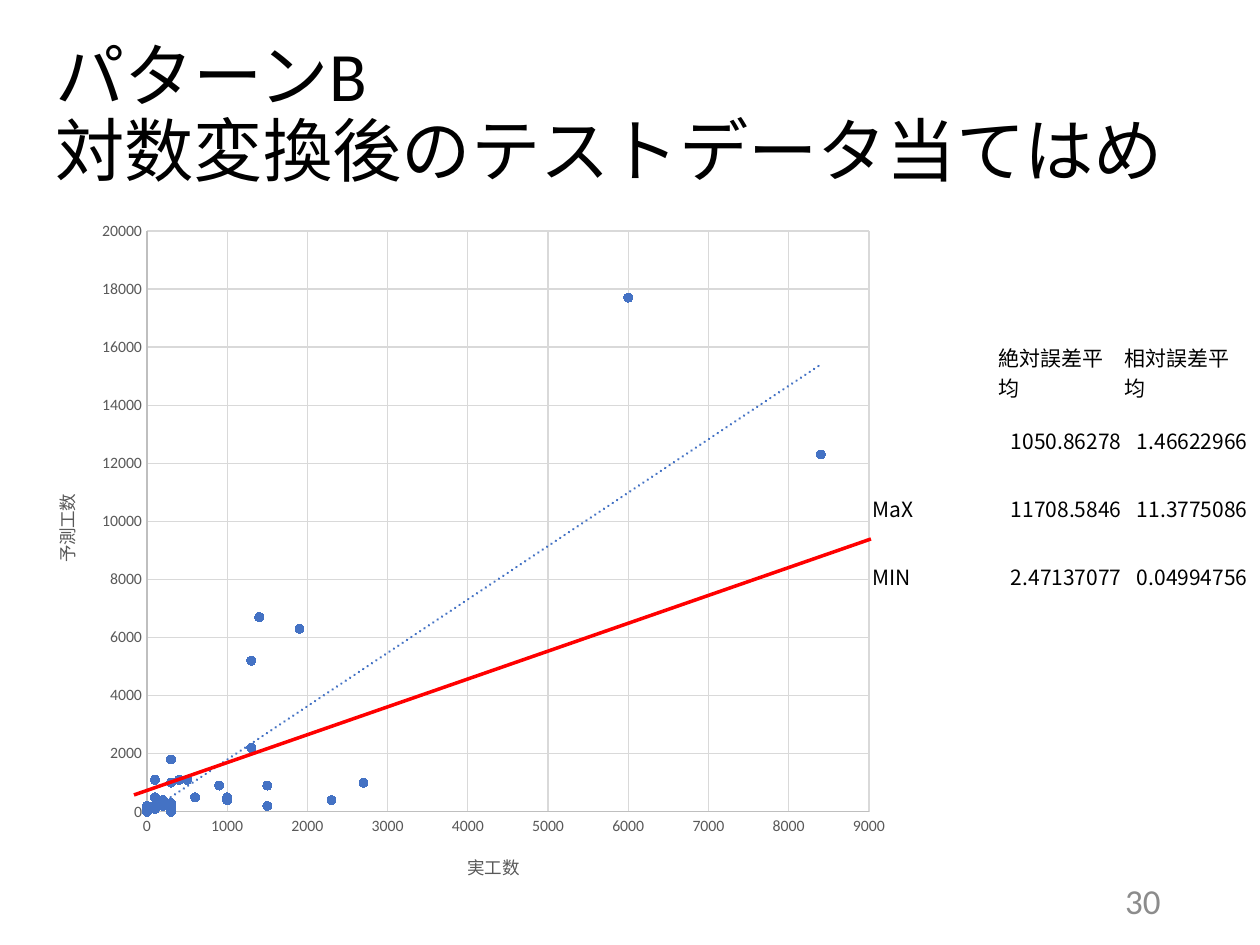
import pptx
import pptx.chart.data
import pptx.dml.color
import pptx.enum.chart
import pptx.enum.shapes
import pptx.enum.text
import pptx.oxml
import pptx.oxml.ns
import pptx.util

# Content
HEADING = "パターンB\v対数変換後のテストデータ当てはめ"
PAGE = "30"
X_AXIS = ("実工数", 9000, 1000)
Y_AXIS = ("予測工数", 20000, 2000)
ACTUAL = [1400, 100, 2700, 1500, 6000, 200, 300, 0, 1500, 1000, 600, 100, 300, 200,
          100, 0, 100, 300, 300, 0, 0, 1900, 200, 2300, 0, 100, 100, 300, 900, 1000,
          300, 0, 100, 1300, 500, 400, 100, 8400, 0, 0, 1300]
PREDICTED = [6700, 1100, 1000, 900, 17700, 200, 100, 0, 200, 500, 500, 500, 200, 400,
             100, 0, 100, 0, 300, 100, 0, 6300, 300, 400, 0, 200, 100, 1000, 900, 400,
             1800, 200, 100, 2200, 1100, 1100, 100, 12300, 0, 0, 5200]
ERRORS = [
    ("", "絶対誤差平均", "相対誤差平均"),
    ("", "1050.86278", "1.46622966"),
    ("MaX", "11708.5846", "11.3775086"),
    ("MIN", "2.47137077", "0.04994756"),
]

# Places in pixels: left, top, width, height
HEADING_BOX = (43, 25, 1173, 183)
CHART_BOX = (26, 208, 876, 697)
PLOT_BOX = (147, 231, 722, 581)
TABLE_BOX = (871, 338, 378, 272)
PAGE_BOX = (890, 876, 283, 50)
IDEAL_LINE = (134, 795, 871, 539)

THEME = {
    "font": "Calibri", "table_font": "Noto Sans CJK JP",
    "text": "000000", "axis_text": "595959", "page": "8C8C8C",
    "axis": "BFBFBF", "grid": "D9D9D9", "points": "4472C4", "ideal": "FF0000",
    "heading_size": 39.6, "page_size": 20, "table_size": 12,
    "axis_title_size": 10, "tick_size": 9,
}
SCALE = 914400 // 126
ALIGN = pptx.enum.text.PP_ALIGN
MIDDLE = pptx.enum.text.MSO_ANCHOR.MIDDLE


def emu(pixels):
    return [pptx.util.Emu(p * SCALE) for p in pixels]


def rgb(name):
    return pptx.dml.color.RGBColor.from_string(THEME[name])


def style_font(font, size, color, face="font"):
    font.name = THEME[face]
    font.size = pptx.util.Pt(THEME[size])
    font.bold = False
    font.color.rgb = rgb(color)


def style_line(line, color, width):
    line.color.rgb = rgb(color)
    line.width = pptx.util.Pt(width)


def add_text(box, text, size, color, align):
    frame = slide.shapes.add_textbox(*emu(box)).text_frame
    frame.word_wrap = True
    frame.vertical_anchor = MIDDLE
    frame.text = text
    paragraph = frame.paragraphs[0]
    paragraph.alignment = align
    style_font(paragraph.font, size, color)
    return paragraph


def chart_xml(body):
    return pptx.oxml.parse_xml(body.replace(">", f" {pptx.oxml.ns.nsdecls('c', 'a')}>", 1))


presentation = pptx.Presentation()
presentation.slide_width, presentation.slide_height = emu((1260, 945))
slide = presentation.slides.add_slide(presentation.slide_layouts[6])

# Heading
heading = add_text(HEADING_BOX, HEADING, "heading_size", "text", ALIGN.LEFT)
heading.line_spacing = 0.9

# Scatter chart
efforts = pptx.chart.data.XyChartData()
points = efforts.add_series("Series 1")
for actual, predicted in zip(ACTUAL, PREDICTED):
    points.add_data_point(actual, predicted)
scatter = slide.shapes.add_chart(
    pptx.enum.chart.XL_CHART_TYPE.XY_SCATTER, *emu(CHART_BOX), efforts).chart
scatter.has_legend = False
scatter.has_title = False
style_font(scatter.font, "axis_title_size", "text")

for axis, (title, maximum, step) in ((scatter.category_axis, X_AXIS),
                                     (scatter.value_axis, Y_AXIS)):
    axis.minimum_scale, axis.maximum_scale, axis.major_unit = 0, maximum, step
    axis.major_tick_mark = axis.minor_tick_mark = pptx.enum.chart.XL_TICK_MARK.NONE
    axis.has_major_gridlines = True
    style_line(axis.major_gridlines.format.line, "grid", 0.75)
    style_line(axis.format.line, "axis", 0.75)
    style_font(axis.tick_labels.font, "tick_size", "axis_text")
    axis.tick_labels.number_format = "General"
    axis.tick_labels.number_format_is_linked = False
    axis.axis_title.text_frame.text = title
    style_font(axis.axis_title.text_frame.paragraphs[0].font, "axis_title_size", "axis_text")

scatter.plots[0].vary_by_categories = False
series = scatter.plots[0].series[0]
series.format.line.fill.background()
series.marker.style = pptx.enum.chart.XL_MARKER_STYLE.CIRCLE
series.marker.size = 5
series.marker.format.fill.solid()
series.marker.format.fill.fore_color.rgb = rgb("points")
style_line(series.marker.format.line, "points", 0.75)

# Linear trend of the points
series._element.find(pptx.oxml.ns.qn("c:xVal")).addprevious(chart_xml(
    '<c:trendline><c:spPr><a:ln w="19050" cap="rnd"><a:solidFill>'
    f'<a:srgbClr val="{THEME["points"]}"/></a:solidFill><a:prstDash val="sysDot"/></a:ln>'
    '</c:spPr><c:trendlineType val="linear"/><c:dispRSqr val="0"/><c:dispEq val="0"/>'
    '</c:trendline>'))

# Fixed inner plot area
left, top, width, height = CHART_BOX
fractions = {"x": (PLOT_BOX[0] - left) / width, "y": (PLOT_BOX[1] - top) / height,
             "w": PLOT_BOX[2] / width, "h": PLOT_BOX[3] / height}
plot_area = scatter._chartSpace.chart.plotArea
for old_layout in plot_area.findall(pptx.oxml.ns.qn("c:layout")):
    plot_area.remove(old_layout)
plot_area.insert(0, chart_xml(
    '<c:layout><c:manualLayout><c:layoutTarget val="inner"/>'
    '<c:xMode val="edge"/><c:yMode val="edge"/>'
    + "".join(f'<c:{key} val="{value:.4f}"/>' for key, value in fractions.items())
    + '</c:manualLayout></c:layout>'))

# Error table
table = slide.shapes.add_table(len(ERRORS), len(ERRORS[0]), *emu(TABLE_BOX)).table
table.first_row = table.horz_banding = False
for row, texts in enumerate(ERRORS):
    for column, text in enumerate(texts):
        cell = table.cell(row, column)
        cell.fill.background()
        cell.vertical_anchor = MIDDLE
        cell.margin_left = cell.margin_right = cell.margin_top = pptx.util.Inches(0.01)
        cell.margin_bottom = 0
        cell.text = text
        paragraph = cell.text_frame.paragraphs[0]
        paragraph.alignment = ALIGN.RIGHT if row and column else ALIGN.LEFT
        style_font(paragraph.font, "table_size", "text", "table_font")

# Ideal line
ideal = slide.shapes.add_connector(
    pptx.enum.shapes.MSO_CONNECTOR.STRAIGHT, *emu(IDEAL_LINE))
style_line(ideal.line, "ideal", 2)
ideal._element.spPr.append(pptx.oxml.parse_xml(
    f"<a:effectLst {pptx.oxml.ns.nsdecls('a')}/>"))

# Page number
add_text(PAGE_BOX, PAGE, "page_size", "page", ALIGN.RIGHT)

presentation.save("out.pptx")
